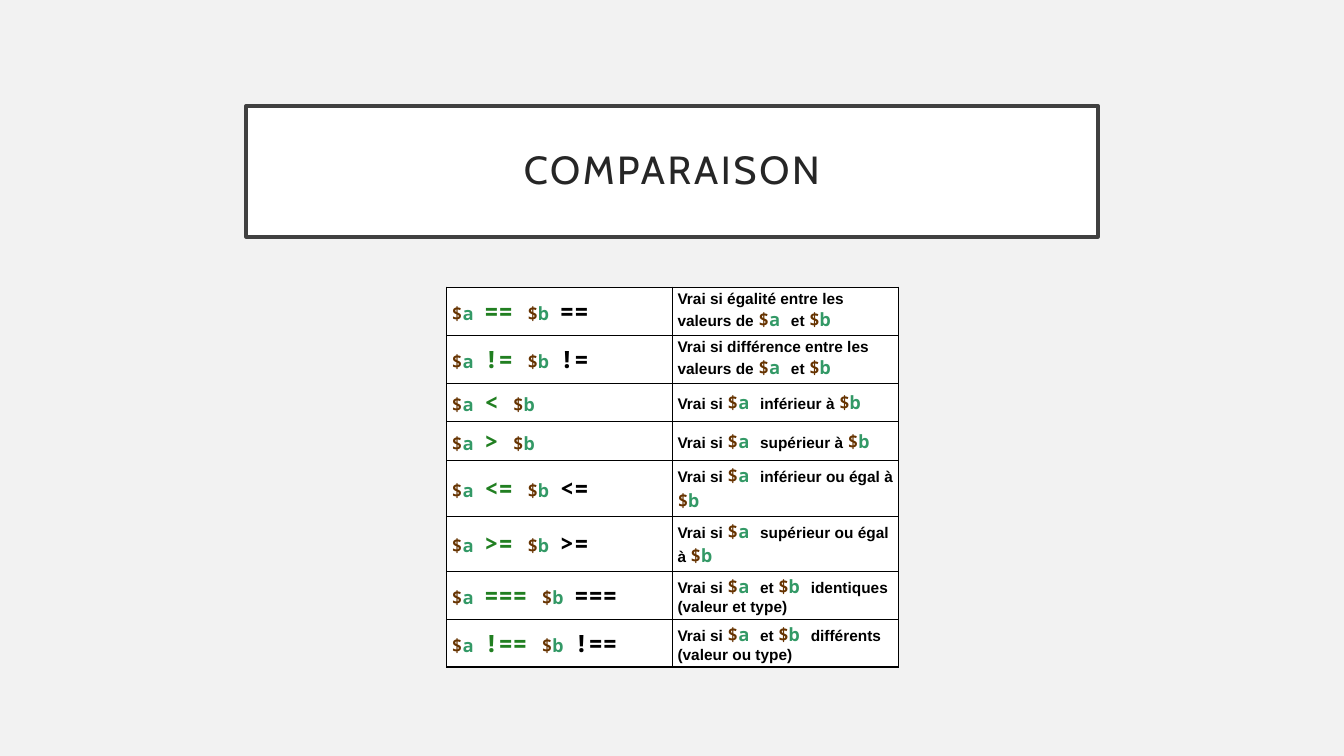
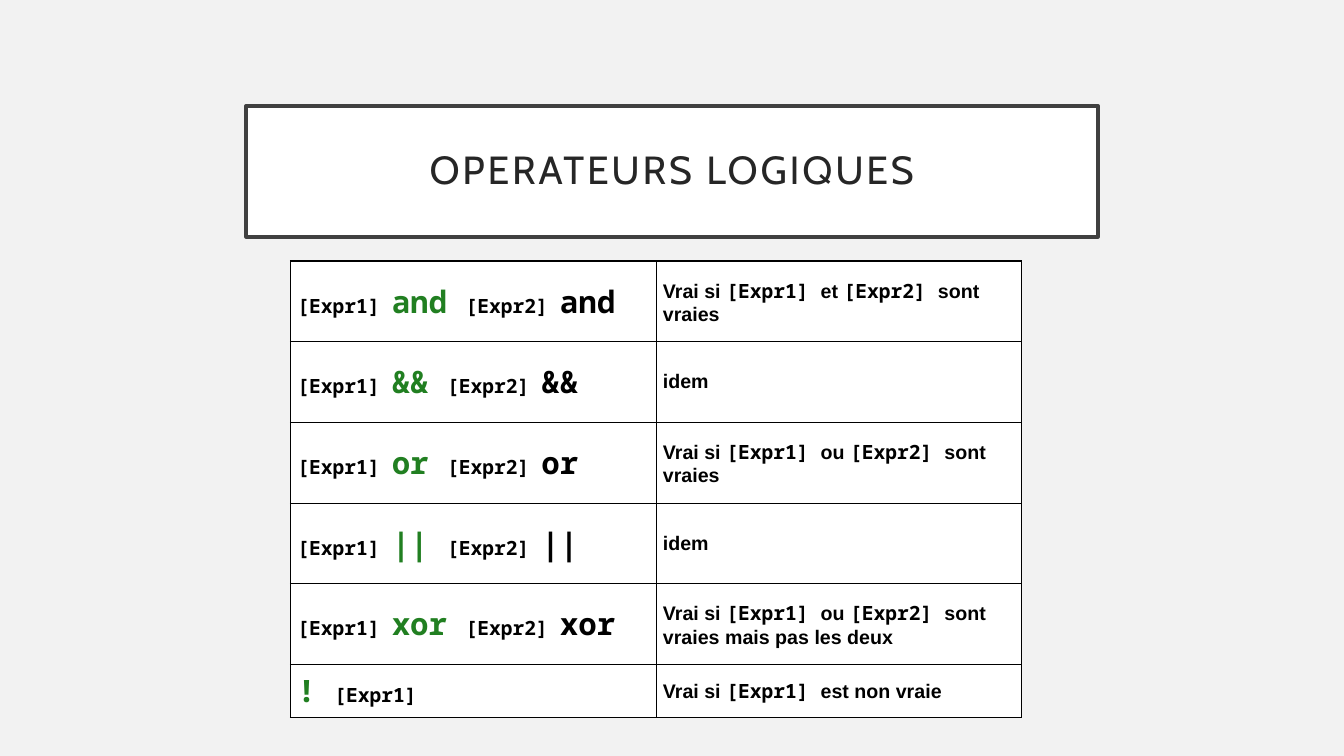
from lxml.etree import SubElement
from pptx import Presentation
from pptx.dml.color import RGBColor
from pptx.enum.text import MSO_ANCHOR, MSO_AUTO_SIZE, PP_ALIGN
from pptx.oxml.ns import qn
from pptx.util import Inches, Pt

BACKGROUND, WHITE, BLACK = "F2F2F2", "FFFFFF", "000000"
TITLE_LINE, TITLE_TEXT = "404040", "262626"
SIGIL, VARIABLE, OPERATOR = "663300", "339966", "217F21"
TITLE_FONT, PROSE_FONT, CODE_FONT = "Cabin", "Arial", "Noto Sans Mono"
TITLE_BOX = (2.44, 1.05, 8.45, 1.3)
OUTER_LINE, INNER_LINE = 1, 0.5

# Each row: the expression, then its meaning, both as lists of words and operands.
COMPARISONS = [
    (["$a", "==", "$b", "=="], ["Vrai si égalité entre les valeurs de", "$a", "et", "$b"]),
    (["$a", "!=", "$b", "!="], ["Vrai si différence entre les valeurs de", "$a", "et", "$b"]),
    (["$a", "<", "$b"], ["Vrai si", "$a", "inférieur à", "$b"]),
    (["$a", ">", "$b"], ["Vrai si", "$a", "supérieur à", "$b"]),
    (["$a", "<=", "$b", "<="], ["Vrai si", "$a", "inférieur ou égal à", "$b"]),
    (["$a", ">=", "$b", ">="], ["Vrai si", "$a", "supérieur ou égal à", "$b"]),
    (["$a", "===", "$b", "==="], ["Vrai si", "$a", "et", "$b", "identiques (valeur et type)"]),
    (["$a", "!==", "$b", "!=="], ["Vrai si", "$a", "et", "$b", "différents (valeur ou type)"]),
]
LOGIC = [
    (["[Expr1]", "and", "[Expr2]", "and"], ["Vrai si", "[Expr1]", "et", "[Expr2]", "sont vraies"]),
    (["[Expr1]", "&&", "[Expr2]", "&&"], ["idem"]),
    (["[Expr1]", "or", "[Expr2]", "or"], ["Vrai si", "[Expr1]", "ou", "[Expr2]", "sont vraies"]),
    (["[Expr1]", "||", "[Expr2]", "||"], ["idem"]),
    (["[Expr1]", "xor", "[Expr2]", "xor"],
     ["Vrai si", "[Expr1]", "ou", "[Expr2]", "sont vraies mais pas les deux"]),
    (["!", "[Expr1]"], ["Vrai si", "[Expr1]", "est non vraie"]),
]
# Text sizes in points, cell side margin in inches
COMPARISON_STYLE = {"prose": 11, "operand": 13, "operator": 17, "margin": 0.05}
LOGIC_STYLE = {"prose": 14, "operand": 14, "operator": 22, "margin": 0.07}


def color(hex_string):
    return RGBColor.from_string(hex_string)


def add_run(paragraph, text, font_name, size, text_color, bold=True):
    run = paragraph.add_run()
    run.text = text
    run.font.name = font_name
    run.font.size = Pt(size)
    run.font.bold = bold
    run.font.color.rgb = color(text_color)
    return run


def add_title(slide, text, box):
    title = slide.shapes.title
    title.left, title.top, title.width, title.height = map(Inches, box)
    title.fill.solid()
    title.fill.fore_color.rgb = color(WHITE)
    title.line.color.rgb = color(TITLE_LINE)
    title.line.width = Pt(2.5)
    frame = title.text_frame
    frame.auto_size = MSO_AUTO_SIZE.NONE
    frame.word_wrap = True
    frame.vertical_anchor = MSO_ANCHOR.MIDDLE
    frame.margin_left = frame.margin_right = Inches(0.2)
    frame.margin_top = frame.margin_bottom = Inches(0.2)
    paragraph = frame.paragraphs[0]
    paragraph.alignment = PP_ALIGN.CENTER
    paragraph.line_spacing = 0.9
    run = add_run(paragraph, text, TITLE_FONT, 28, TITLE_TEXT, bold=False)
    run.font._element.set("spc", "200")


def write_tokens(paragraph, tokens, style, is_expression):
    """Write words and operands; an expression's first operator is green."""
    operator_color = OPERATOR
    for index, token in enumerate(tokens):
        text = token if index == len(tokens) - 1 else token + " "
        if token.startswith("$"):
            add_run(paragraph, "$", CODE_FONT, style["operand"], SIGIL)
            add_run(paragraph, text[1:], CODE_FONT, style["operand"], VARIABLE)
        elif token.startswith("["):
            add_run(paragraph, text, CODE_FONT, style["operand"], BLACK)
        elif is_expression:
            add_run(paragraph, text, CODE_FONT, style["operator"], operator_color)
            operator_color = BLACK
        else:
            add_run(paragraph, text, PROSE_FONT, style["prose"], BLACK)


def add_borders(cell, outer_sides):
    properties = cell._tc.get_or_add_tcPr()
    for side in "LRTB":
        width = OUTER_LINE if side in outer_sides else INNER_LINE
        line = SubElement(properties, qn(f"a:ln{side}"), w=str(Pt(width)))
        fill = SubElement(line, qn("a:solidFill"))
        SubElement(fill, qn("a:srgbClr"), val=BLACK)


def format_cell(cell, outer_sides, margin):
    add_borders(cell, outer_sides)
    cell.fill.solid()
    cell.fill.fore_color.rgb = color(WHITE)
    cell.vertical_anchor = MSO_ANCHOR.MIDDLE
    cell.margin_left = cell.margin_right = Inches(margin)
    cell.margin_top = cell.margin_bottom = Inches(0.03)


def add_operator_table(slide, rows, box, row_heights, style):
    left, top, width = box
    table = slide.shapes.add_table(
        len(rows), 2, Inches(left), Inches(top), Inches(width), Inches(sum(row_heights))
    ).table
    table.first_row = table.horz_banding = False
    for column in table.columns:
        column.width = Inches(width / 2)
    for row_index, (row, height) in enumerate(zip(rows, row_heights)):
        table.rows[row_index].height = Inches(height)
        outer_row = {0: "T", len(rows) - 1: "B"}.get(row_index, "")
        for column_index, tokens in enumerate(row):
            cell = table.cell(row_index, column_index)
            format_cell(cell, "LR"[column_index] + outer_row, style["margin"])
            paragraph = cell.text_frame.paragraphs[0]
            write_tokens(paragraph, tokens, style, is_expression=column_index == 0)


def add_operator_slide(presentation, title, rows, box, row_heights, style):
    slide = presentation.slides.add_slide(presentation.slide_layouts[5])
    add_title(slide, title, TITLE_BOX)
    add_operator_table(slide, rows, box, row_heights, style)


def main():
    presentation = Presentation()
    presentation.slide_width = Inches(13.33)
    presentation.slide_height = Inches(7.5)
    background = presentation.slide_master.background.fill
    background.solid()
    background.fore_color.rgb = color(BACKGROUND)

    add_operator_slide(
        presentation, "COMPARAISON", COMPARISONS, (4.43, 2.85, 4.48),
        [0.47, 0.47, 0.38, 0.38, 0.54, 0.54, 0.47, 0.47], COMPARISON_STYLE)
    add_operator_slide(
        presentation, "OPERATEURS LOGIQUES", LOGIC, (2.88, 2.59, 7.25),
        [0.8] * 5 + [0.53], LOGIC_STYLE)
    presentation.save("out.pptx")


if __name__ == "__main__":
    main()
